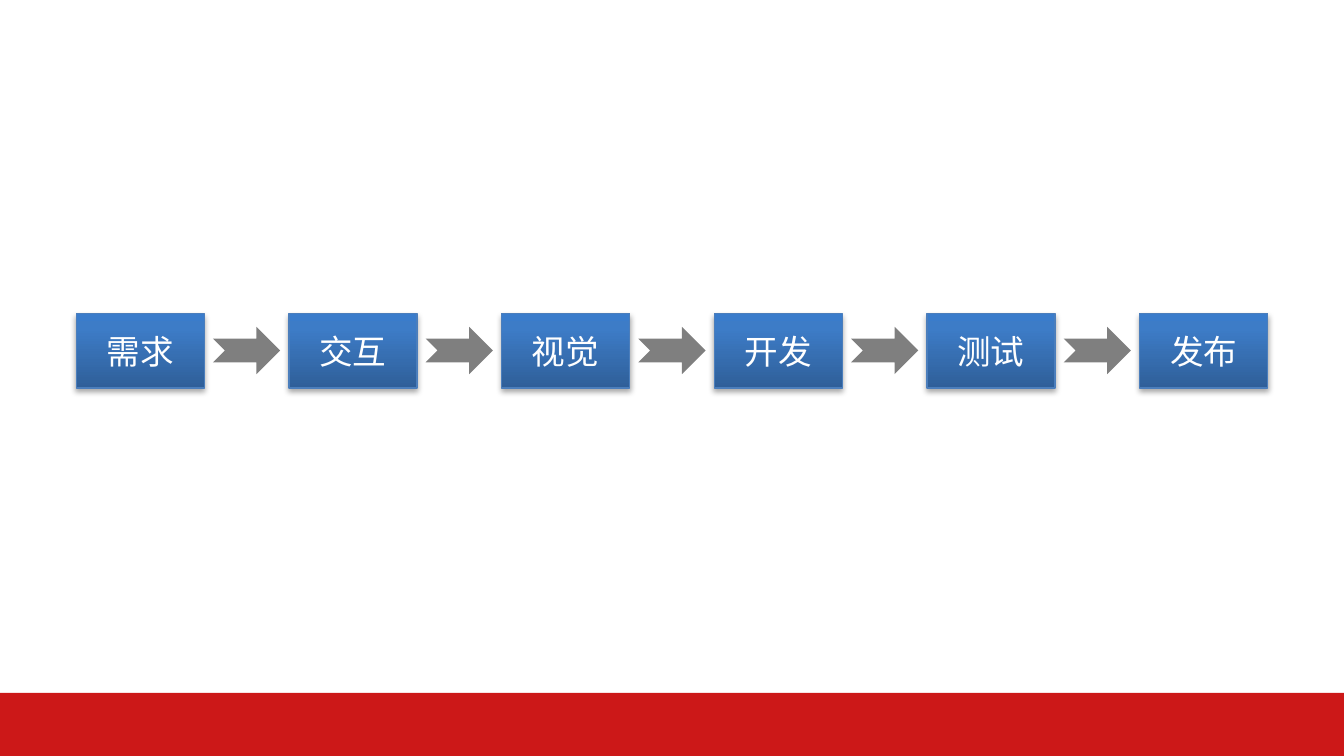
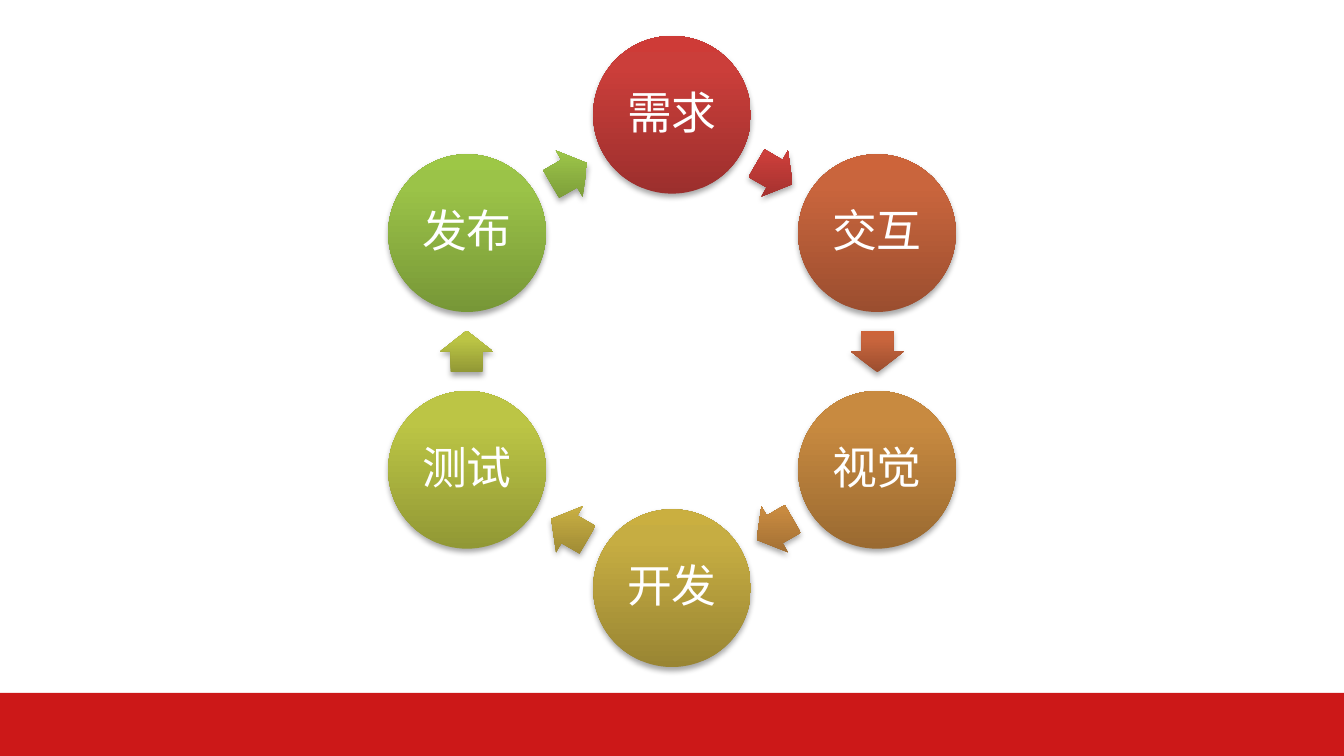
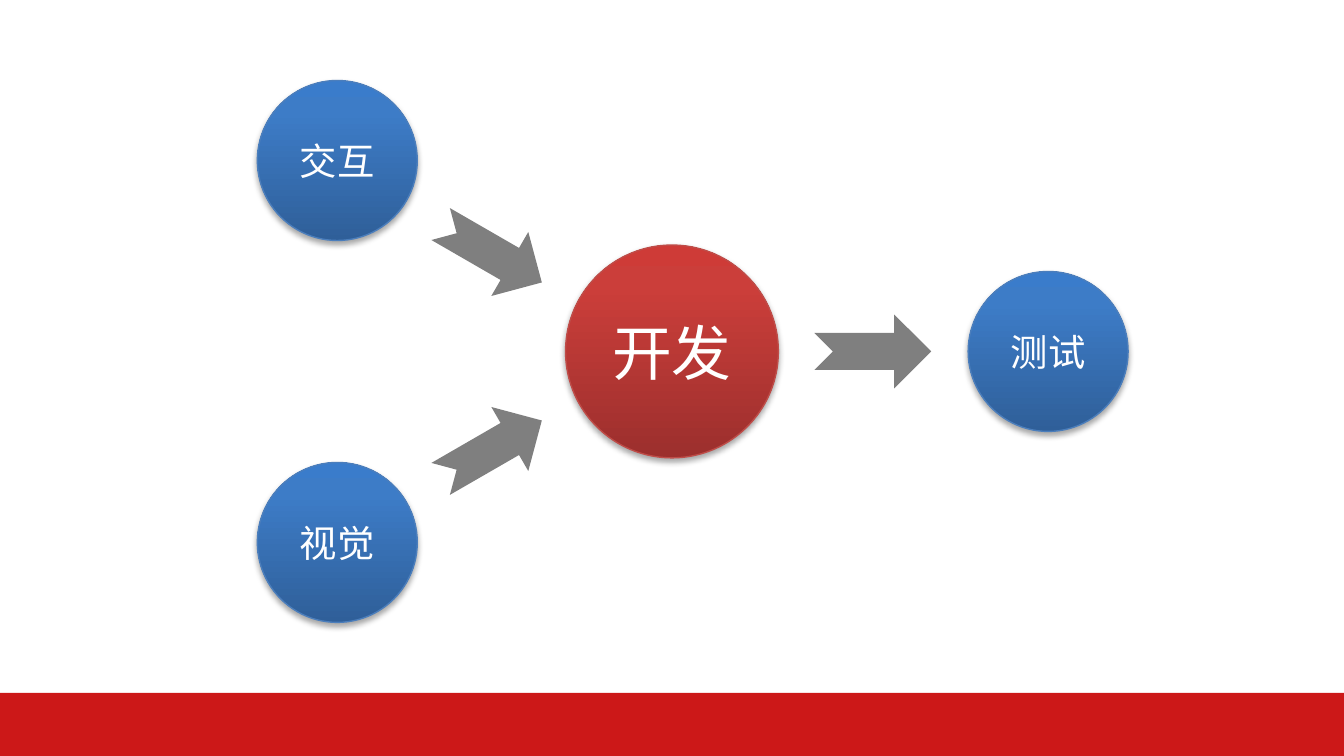
import copy
import math
from dataclasses import dataclass
from typing import Any, Optional

import pptx
import pptx.dml.color
import pptx.enum.shapes
import pptx.enum.text
import pptx.oxml.ns
import pptx.util
from lxml import etree

Pt = pptx.util.Pt
RGBColor = pptx.dml.color.RGBColor
Preset = pptx.enum.shapes.MSO_SHAPE
qn = pptx.oxml.ns.qn

FONT = "Noto Sans CJK SC"
WHITE = RGBColor(0xFF, 0xFF, 0xFF)
BLACK = RGBColor(0x00, 0x00, 0x00)
BAND_RED = RGBColor(0xCC, 0x18, 0x18)
BLUE_EDGE = RGBColor(0x4B, 0x7E, 0xBC)
RED_EDGE = RGBColor(0xBF, 0x4C, 0x48)

PAGE_WIDTH, PAGE_HEIGHT = 720, 405
BAND_TOP = 371.25
MIDDLE_X, MIDDLE_Y = 360, 188.3


@dataclass(frozen=True)
class Gradient:
    dark: RGBColor
    main: RGBColor
    light: RGBColor


BLUE = Gradient(RGBColor(0x2F, 0x5F, 0x99), RGBColor(0x3D, 0x7C, 0xC7), RGBColor(0x3A, 0x7C, 0xCB))
RED = Gradient(RGBColor(0x9C, 0x2F, 0x2D), RGBColor(0xCB, 0x3E, 0x3A), RGBColor(0xCE, 0x3B, 0x37))
ORANGE = Gradient(RGBColor(0x9B, 0x4E, 0x2F), RGBColor(0xC9, 0x65, 0x3D), RGBColor(0xCD, 0x64, 0x3A))
AMBER = Gradient(RGBColor(0x9A, 0x6A, 0x31), RGBColor(0xC8, 0x8A, 0x40), RGBColor(0xCB, 0x8B, 0x3D))
GOLD = Gradient(RGBColor(0x99, 0x85, 0x33), RGBColor(0xC6, 0xAD, 0x42), RGBColor(0xCA, 0xAF, 0x40))
LIME = Gradient(RGBColor(0x91, 0x98, 0x35), RGBColor(0xBC, 0xC5, 0x45), RGBColor(0xBF, 0xC8, 0x43))
GREEN = Gradient(RGBColor(0x77, 0x97, 0x37), RGBColor(0x9B, 0xC3, 0x48), RGBColor(0x9D, 0xC7, 0x46))


@dataclass(frozen=True)
class Spot:
    x: float
    y: float
    width: float
    height: float
    turn: float = 0

    def frame(self) -> tuple:
        left, top = self.x - self.width / 2, self.y - self.height / 2
        return Pt(left), Pt(top), Pt(self.width), Pt(self.height)


@dataclass(frozen=True)
class Step:
    text: str
    gradient: Gradient


@dataclass(frozen=True)
class Node:
    text: str
    x: float
    y: float
    diameter: float = 85.7
    size: float = 20
    gradient: Gradient = BLUE
    edge: RGBColor = BLUE_EDGE


STEPS = [
    Step("需求", RED),
    Step("交互", ORANGE),
    Step("视觉", AMBER),
    Step("开发", GOLD),
    Step("测试", LIME),
    Step("发布", GREEN),
]


def write_text(box: Any, text: str, *, size: float, inset: Optional[float] = None,
               line_spacing: Optional[float] = None, space_after: Optional[float] = None) -> None:
    frame = box.text_frame
    frame.word_wrap = True
    frame.vertical_anchor = pptx.enum.text.MSO_ANCHOR.MIDDLE
    if inset is not None:
        frame.margin_left = frame.margin_right = Pt(inset)
        frame.margin_top = frame.margin_bottom = Pt(inset)
    para = frame.paragraphs[0]
    para.alignment = pptx.enum.text.PP_ALIGN.CENTER
    if line_spacing is not None:
        para.line_spacing = line_spacing
    if space_after is not None:
        para.space_after = Pt(space_after)
    span = para.add_run()
    span.text = text
    span.font.size = Pt(size)
    span.font.color.rgb = WHITE
    span.font.name = FONT
    etree.SubElement(span._r.get_or_add_rPr(), qn("a:ea"), typeface=FONT)


def add_plain(shapes: Any, preset: Any, spot: Spot, color: RGBColor) -> Any:
    shape = shapes.add_shape(preset, *spot.frame())
    shape.rotation = spot.turn
    shape.shadow.inherit = False
    shape.fill.solid()
    shape.fill.fore_color.rgb = color
    shape.line.fill.background()
    return shape


def add_glossy(shapes: Any, preset: Any, spot: Spot, gradient: Gradient,
               edge: Optional[RGBColor] = None) -> Any:
    shape = add_plain(shapes, preset, spot, gradient.main)
    shape.fill.gradient()
    shape.fill.gradient_angle = 90
    properties = shape._element.spPr
    properties.find(qn("a:gradFill")).set("rotWithShape", "0")
    stop_list = properties.find(".//" + qn("a:gsLst"))
    stop_list.insert(1, copy.deepcopy(stop_list[0]))
    colors = (gradient.dark, gradient.main, gradient.light)
    for stop, position, color in zip(shape.fill.gradient_stops, (0, 0.8, 1), colors):
        stop.position = position
        stop.color.rgb = color
    if edge is not None:
        shape.line.color.rgb = edge
        shape.line.width = Pt(0.75)
    add_shadow(properties)
    return shape


def add_shadow(properties: Any) -> None:
    shadow = etree.SubElement(
        properties.find(qn("a:effectLst")), qn("a:outerShdw"),
        blurRad=str(Pt(3.15)), dist=str(Pt(1.81)), dir="5400000", rotWithShape="0")
    color = etree.SubElement(shadow, qn("a:srgbClr"), val=str(BLACK))
    etree.SubElement(color, qn("a:alpha"), val="35000")


def add_grey_arrow(shapes: Any, spot: Spot) -> None:
    arrow = add_plain(shapes, Preset.NOTCHED_RIGHT_ARROW, spot, BLACK)
    color = arrow._element.spPr.find(qn("a:solidFill"))[0]
    etree.SubElement(color, qn("a:alpha"), val="50000")


def add_page(deck: Any) -> Any:
    page = deck.slides.add_slide(deck.slide_layouts[6])
    height = PAGE_HEIGHT - BAND_TOP
    band = Spot(PAGE_WIDTH / 2, BAND_TOP + height / 2, PAGE_WIDTH, height)
    add_plain(page.shapes, Preset.RECTANGLE, band, BAND_RED)
    return page


def draw_chain(page: Any) -> None:
    pitch = 113.94
    first_x = MIDDLE_X - pitch * (len(STEPS) - 1) / 2
    for index, step in enumerate(STEPS):
        x = first_x + index * pitch
        box = add_glossy(page.shapes, Preset.RECTANGLE, Spot(x, 187.8, 68.6, 40), BLUE, BLUE_EDGE)
        write_text(box, step.text, size=18)
        if index < len(STEPS) - 1:
            add_grey_arrow(page.shapes, Spot(x + pitch / 2, 187.8, 36, 25.4))


def ring_point(radius: float, degrees: float) -> tuple[float, float]:
    angle = math.radians(degrees)
    return MIDDLE_X + radius * math.sin(angle), MIDDLE_Y - radius * math.cos(angle)


def draw_cycle(page: Any) -> None:
    shapes = page.shapes.add_group_shape().shapes
    turn = 360 / len(STEPS)
    for index, step in enumerate(STEPS):
        x, y = ring_point(126.8, index * turn)
        add_glossy(shapes, Preset.OVAL, Spot(x, y, 84.5, 84.5), step.gradient)
        label = shapes.add_textbox(*Spot(x, y, 59.8, 59.8).frame())
        write_text(label, step.text, size=24, inset=2.4, line_spacing=0.9, space_after=8.4)
        heading = (index + 0.5) * turn
        arrow_x, arrow_y = ring_point(110, heading)
        arrow_spot = Spot(arrow_x, arrow_y, 22.4, 28.5, heading)
        arrow = add_glossy(shapes, Preset.RIGHT_ARROW, arrow_spot, step.gradient)
        arrow.adjustments[0] = 0.6
        arrow.adjustments[1] = 0.5


def draw_merge(page: Any) -> None:
    nodes = [
        Node("交互", 180.7, MIDDLE_Y - 102.3),
        Node("视觉", 180.7, MIDDLE_Y + 102.3),
        Node("测试", 561.5, MIDDLE_Y),
        Node("开发", MIDDLE_X, MIDDLE_Y, 114, 32, RED, RED_EDGE),
    ]
    for x, offset, turn in ((263.2, -52.6, 30), (263.2, 52.6, 330), (467.6, 0, 0)):
        add_grey_arrow(page.shapes, Spot(x, MIDDLE_Y + offset, 62.6, 39.6, turn))
    for node in nodes:
        spot = Spot(node.x, node.y, node.diameter, node.diameter)
        circle = add_glossy(page.shapes, Preset.FLOWCHART_CONNECTOR, spot, node.gradient, node.edge)
        write_text(circle, node.text, size=node.size)


def main() -> None:
    deck = pptx.Presentation()
    deck.slide_width, deck.slide_height = Pt(PAGE_WIDTH), Pt(PAGE_HEIGHT)
    for draw in (draw_chain, draw_cycle, draw_merge):
        draw(add_page(deck))
    deck.save("out.pptx")


if __name__ == "__main__":
    main()
